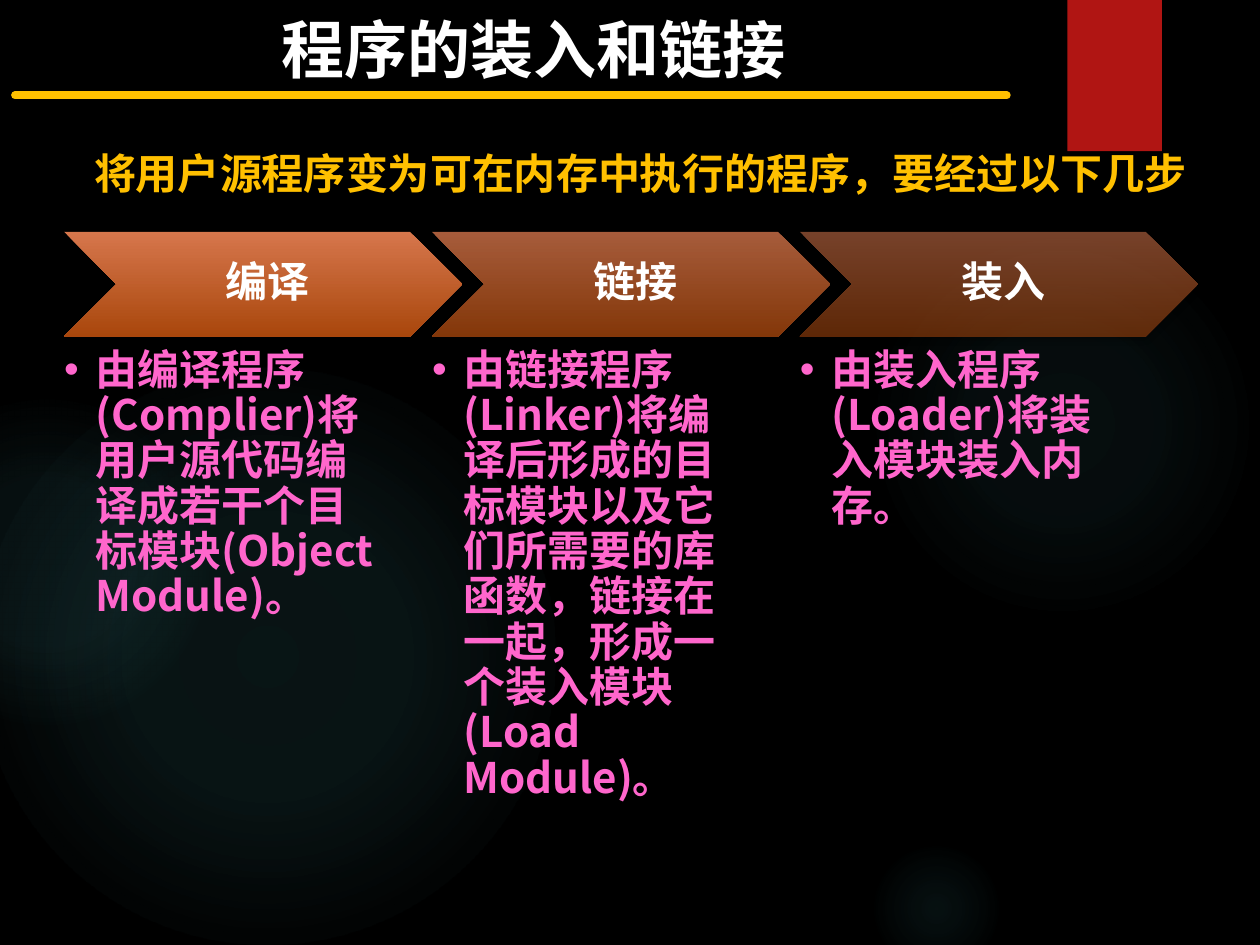
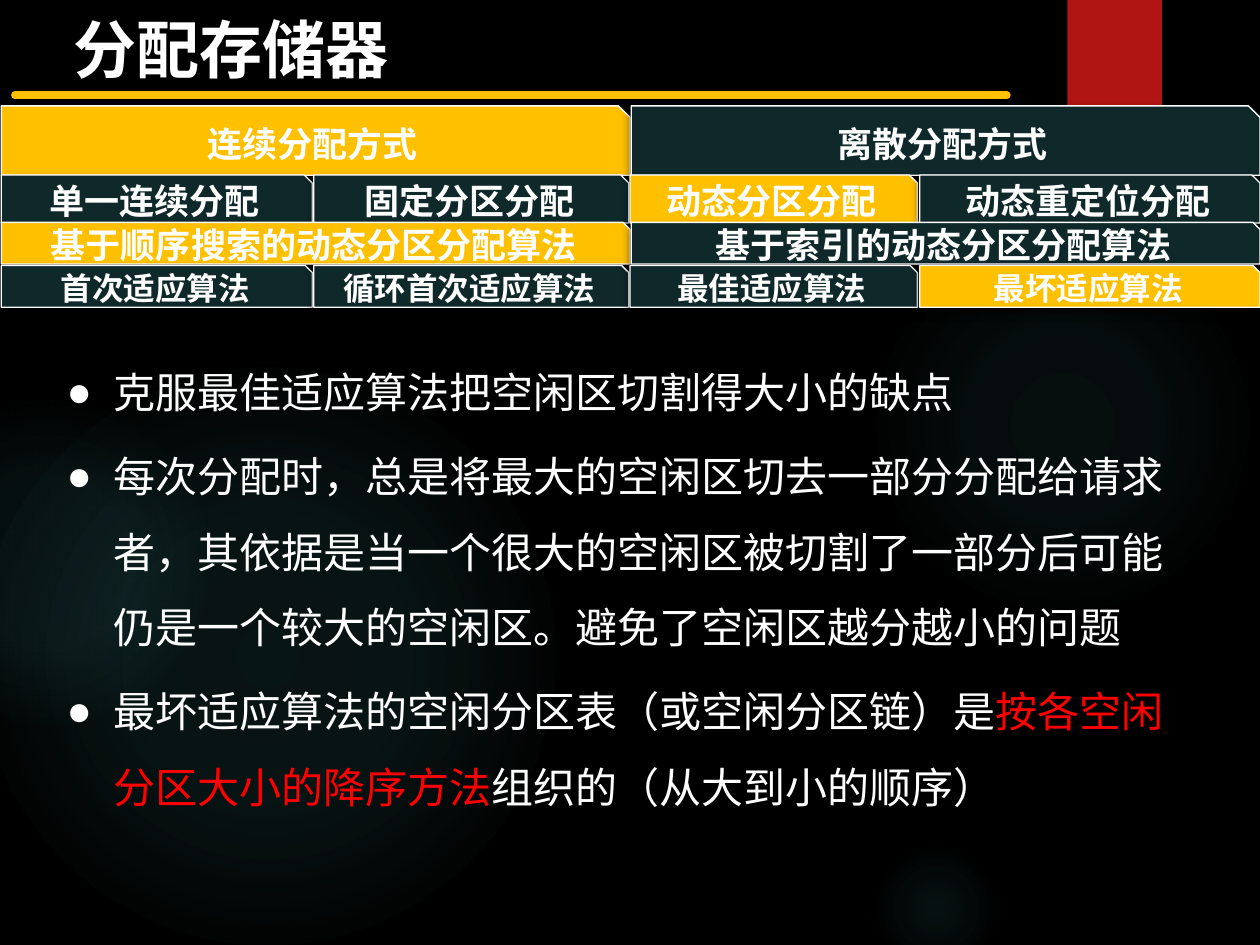
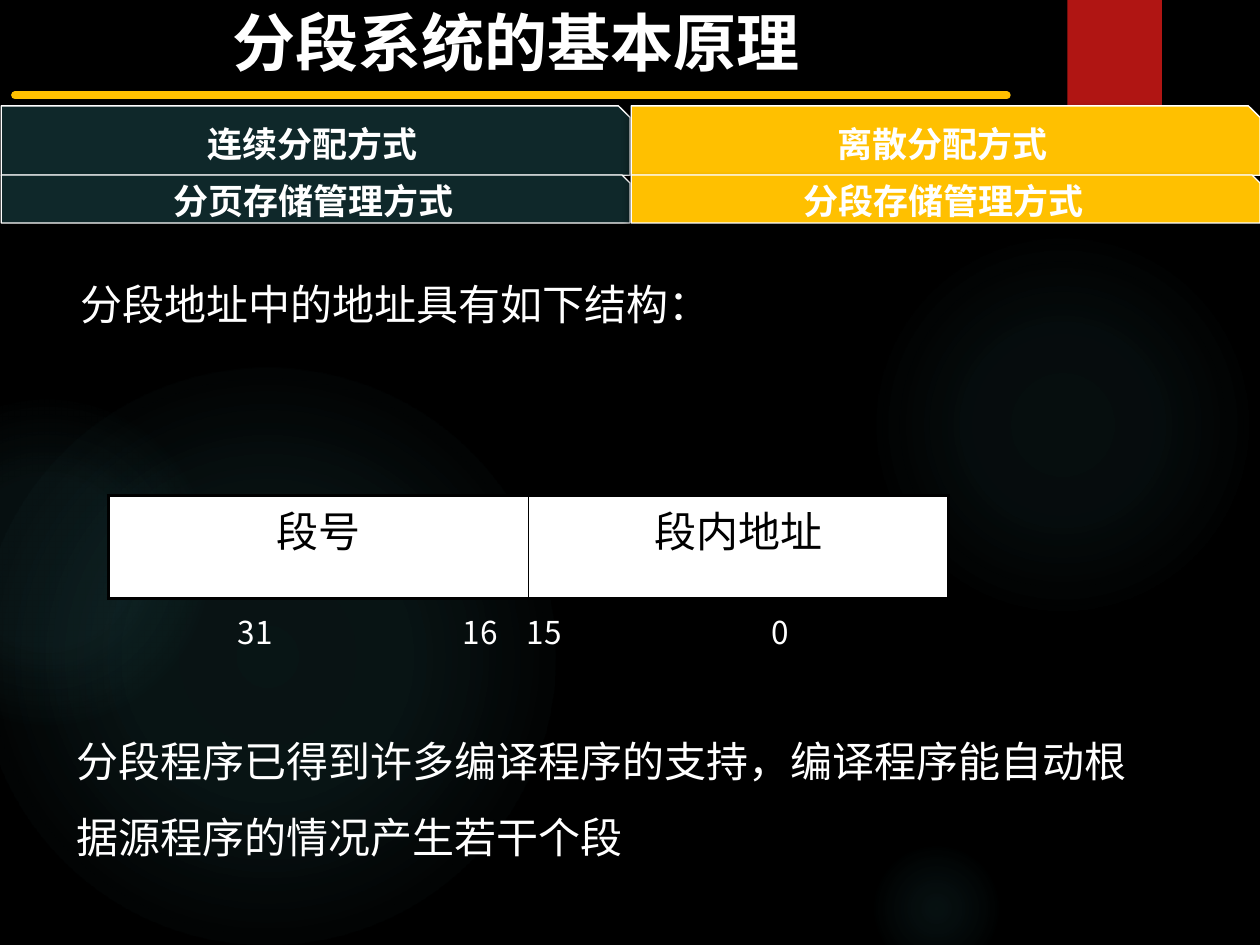
from dataclasses import dataclass

from lxml import etree
from pptx import Presentation
from pptx.dml.color import RGBColor
from pptx.enum.shapes import MSO_CONNECTOR, MSO_SHAPE
from pptx.enum.text import MSO_ANCHOR, PP_ALIGN
from pptx.oxml.ns import qn
from pptx.util import Pt

ELLIPSE, RECTANGLE = MSO_SHAPE.OVAL, MSO_SHAPE.RECTANGLE
CHEVRON, SNIPPED = MSO_SHAPE.CHEVRON, MSO_SHAPE.SNIP_1_RECTANGLE
STRAIGHT = MSO_CONNECTOR.STRAIGHT
TOP, MIDDLE = MSO_ANCHOR.TOP, MSO_ANCHOR.MIDDLE
LEFT, CENTER = PP_ALIGN.LEFT, PP_ALIGN.CENTER

FONT, TABLE_FONT, BULLET_FONT = "Noto Sans CJK SC", "Arial", "Arial"
BLACK, WHITE, GOLD, DARK = "000000", "FFFFFF", "FFC000", "0F282A"
RED, BAND_RED, PINK, GLOW = "FF0000", "B01513", "FF66CC", "50B9C1"
CHEVRON_LIGHT, CHEVRON_DEEP = "EE8455", "BC4F0E"


@dataclass(frozen=True)
class Area:
    left: float
    top: float
    width: float
    height: float

    def lengths(self) -> tuple[Pt, Pt, Pt, Pt]:
        return Pt(self.left), Pt(self.top), Pt(self.width), Pt(self.height)


@dataclass(frozen=True)
class Style:
    size: float
    color: str = WHITE
    bold: bool = False
    align: PP_ALIGN = LEFT
    spacing: float = 1.0
    before: float = 0
    bullet: str = ""
    indent: float = 0
    font: str = FONT
    tabs: tuple[float, ...] = ()


@dataclass(frozen=True)
class Span:
    text: str
    color: str = ""


@dataclass(frozen=True)
class Stop:
    place: int
    color: str
    opacity: int


@dataclass(frozen=True)
class Shadow:
    opacity: int
    blur: float
    distance: float


@dataclass(frozen=True)
class Glow:
    left: float
    top: float
    size: float
    stops: tuple[tuple[int, int], ...]


@dataclass(frozen=True)
class ChipRow:
    top: float
    height: float
    size: float
    columns: tuple[tuple[float, float], ...]


@dataclass(frozen=True)
class Step:
    name: str
    detail: str
    opacity: int


GLOWS = (
    Glow(496, 131.8, 221.8, ((0, 7), (36, 6), (69, 0))),
    Glow(496, 480.2, 77.8, ((0, 9), (36, 5), (66, 0))),
    Glow(-12.2, 210.2, 329.8, ((0, 11), (36, 10), (75, 0))),
    Glow(-66.2, 228.2, 185.8, ((0, 8), (36, 8), (72, 0))),
)
BAND_SHADOW, CHIP_SHADOW = Shadow(45, 3, 2), Shadow(60, 5, 3)
TITLE = Style(36, bold=True, align=CENTER)

HALVES = ((0.7, 359.3), (360.7, 359.3))
QUARTERS = ((0.7, 177.8), (179.3, 180), (360, 164.2), (525.6, 194.4))
MODE_ROW = ChipRow(60.5, 39.6, 20, HALVES)
PARTITION_ROW = ChipRow(100, 27.4, 20, QUARTERS)
PAGING_ROW = ChipRow(100, 27.4, 20, HALVES)
SEARCH_ROW = ChipRow(127.1, 23.8, 20, HALVES)
ALGORITHM_ROW = ChipRow(151.8, 23.8, 18, QUARTERS)
MODES = ("连续分配方式", "离散分配方式")

STEPS = (
    Step("编译", "由编译程序(Complier)将用户源代码编译成若干个目标模块(Object Module)。", 90),
    Step("链接", "由链接程序(Linker)将编译后形成的目标模块以及它们所需要的库函数，"
         "链接在一起，形成一个装入模块(Load Module)。", 70),
    Step("装入", "由装入程序(Loader)将装入模块装入内存。", 50),
)
STEP_LEFT, STEP_PITCH, STEP_TOP = 36.7, 210.2, 132.5


def rgb(color: str) -> RGBColor:
    return RGBColor.from_string(color)


def add_element(parent, tag: str, **attributes):
    return etree.SubElement(parent, qn(tag), {key: str(value) for key, value in attributes.items()})


def add_color(parent, color: str, opacity: int = 100) -> None:
    element = add_element(parent, "a:srgbClr", val=color)
    if opacity < 100:
        add_element(element, "a:alpha", val=opacity * 1000)


def add_shadow(shape, shadow: Shadow) -> None:
    """Cast a black shadow straight down."""
    effects = shape._element.spPr.find(qn("a:effectLst"))
    outer = add_element(effects, "a:outerShdw", blurRad=Pt(shadow.blur), dist=Pt(shadow.distance),
                        dir=5400000, algn="ctr", rotWithShape=0)
    add_color(outer, BLACK, shadow.opacity)


def fill_gradient(shape, stops: list[Stop], radial: bool) -> None:
    """Fill from the centre outwards, or else from top to bottom."""
    shape.fill.background()
    properties = shape._element.spPr
    empty_fill = properties.find(qn("a:noFill"))
    gradient = etree.Element(qn("a:gradFill"), rotWithShape="1")
    stop_list = add_element(gradient, "a:gsLst")
    for stop in stops:
        add_color(add_element(stop_list, "a:gs", pos=stop.place * 1000), stop.color, stop.opacity)
    if radial:
        circle = add_element(gradient, "a:path", path="circle")
        add_element(circle, "a:fillToRect", l=50000, t=50000, r=50000, b=50000)
    else:
        add_element(gradient, "a:lin", ang=5400000, scaled=0)
    properties.replace(empty_fill, gradient)


def add_figure(page, kind: MSO_SHAPE, area: Area, fill: str = "", shadow: Shadow | None = None):
    figure = page.shapes.add_shape(kind, *area.lengths())
    figure.shadow.inherit = False
    figure.line.fill.background()
    if fill:
        figure.fill.solid()
        figure.fill.fore_color.rgb = rgb(fill)
    if shadow:
        add_shadow(figure, shadow)
    return figure


def set_font(para, style: Style) -> None:
    font = para.font
    font.name, font.size, font.bold = style.font, Pt(style.size), style.bold
    font.color.rgb = rgb(style.color)
    add_element(font._element, "a:ea", typeface=style.font)


def write_paragraph(para, spans: list[Span], style: Style, first: bool) -> None:
    para.alignment = style.align
    para.line_spacing = style.spacing
    if not first:
        para.space_before = Pt(style.before)
    properties = para._p.get_or_add_pPr()
    if style.bullet:
        properties.set("marL", str(Pt(style.indent)))
        properties.set("indent", str(-Pt(style.indent)))
        add_element(properties, "a:buFont", typeface=BULLET_FONT)
        add_element(properties, "a:buChar", char=style.bullet)
    if style.tabs:
        tab_list = add_element(properties, "a:tabLst")
        for position in style.tabs:
            add_element(tab_list, "a:tab", pos=Pt(position), algn="l")
    set_font(para, style)
    for span in spans:
        run = para.add_run()
        run.text = span.text
        if span.color:
            run.font.color.rgb = rgb(span.color)


def write_text(frame, paragraphs: list[list[Span]], style: Style) -> None:
    frame.word_wrap = True
    for index, spans in enumerate(paragraphs):
        para = frame.add_paragraph() if index else frame.paragraphs[0]
        write_paragraph(para, spans, style, first=index == 0)


def add_text(page, area: Area, paragraphs: list[list[Span]], style: Style,
             anchor: MSO_ANCHOR = TOP,
             insets: tuple[float, float, float, float] = (7.2, 3.6, 7.2, 3.6)) -> None:
    """Insets run left, top, right, bottom."""
    box = page.shapes.add_textbox(*area.lengths())
    frame = box.text_frame
    frame.vertical_anchor = anchor
    (frame.margin_left, frame.margin_top,
     frame.margin_right, frame.margin_bottom) = map(Pt, insets)
    write_text(frame, paragraphs, style)


def add_page(deck, title: str, title_area: Area):
    """Add a slide with the glows, the red band, the gold rule and a title."""
    page = deck.slides.add_slide(deck.slide_layouts[6])
    page.background.fill.solid()
    page.background.fill.fore_color.rgb = rgb(BLACK)
    for glow in GLOWS:
        circle = add_figure(page, ELLIPSE, Area(glow.left, glow.top, glow.size, glow.size))
        stops = [Stop(place, GLOW, opacity) for place, opacity in glow.stops]
        fill_gradient(circle, stops, radial=True)
    add_figure(page, RECTANGLE, Area(610, 0, 54, 86.4), BAND_RED, BAND_SHADOW)
    rule = page.shapes.add_connector(STRAIGHT, Pt(8.6), Pt(54.5), Pt(575.3), Pt(54.5))
    rule.line.color.rgb = rgb(GOLD)
    rule.line.width = Pt(4.5)
    rule.line._get_or_add_ln().set("cap", "rnd")
    add_element(rule._element.spPr, "a:effectLst")
    add_text(page, title_area, [[Span(title)]], TITLE)
    return page


def add_chips(page, row: ChipRow, labels: tuple[str, ...], chosen: str) -> None:
    """Draw one row of tabs, with the chosen one in gold."""
    style = Style(row.size, bold=True, align=CENTER)
    for label, (left, width) in zip(labels, row.columns):
        fill = GOLD if label == chosen else DARK
        chip = add_figure(page, SNIPPED, Area(left, row.top, width, row.height), fill, CHIP_SHADOW)
        chip.line.color.rgb = rgb(WHITE)
        chip.line.width = Pt(0.75)
        chip.text_frame.vertical_anchor = MIDDLE
        write_text(chip.text_frame, [[Span(label)]], style)


def add_step(page, step: Step, left: float) -> None:
    chevron = add_figure(page, CHEVRON, Area(left, STEP_TOP, 227.5, 59.8), shadow=BAND_SHADOW)
    fill_gradient(chevron, [Stop(0, CHEVRON_LIGHT, step.opacity),
                            Stop(100, CHEVRON_DEEP, step.opacity)], radial=False)
    add_text(page, Area(left + 30.2, STEP_TOP, 167.8, 59.8), [[Span(step.name)]],
             Style(24, bold=True, align=CENTER, spacing=0.9), MIDDLE, (7.2, 2.9, 2.9, 2.9))
    add_text(page, Area(left, 199.4, 181.4, 284.4), [[Span(step.detail)]],
             Style(24, PINK, bold=True, spacing=0.9, bullet="•", indent=18), insets=(0, 0, 0, 0))


def set_borders(cell, left: float, right: float) -> None:
    properties = cell._tc.get_or_add_tcPr()
    for tag, width in (("a:lnL", left), ("a:lnR", right), ("a:lnT", 2.25), ("a:lnB", 2.25)):
        border = add_element(properties, tag, w=Pt(width))
        add_color(add_element(border, "a:solidFill"), BLACK)


def add_address_table(page, labels: tuple[str, str]) -> None:
    area = Area(62, 283, 480, 59)
    table = page.shapes.add_table(1, len(labels), *area.lengths()).table
    table.first_row = table.horz_banding = False
    style = Style(24, BLACK, align=CENTER, font=TABLE_FONT)
    for cell, label, (left, right) in zip(table.iter_cells(), labels, ((2.25, 1), (1, 2.25))):
        set_borders(cell, left, right)
        cell.fill.solid()
        cell.fill.fore_color.rgb = rgb(WHITE)
        cell.margin_top = Pt(8.4)
        write_text(cell.text_frame, [[Span(label)]], style)


def build_loading_page(deck) -> None:
    page = add_page(deck, "程序的装入和链接", Area(0.7, 2.2, 608.4, 51))
    for index, step in enumerate(STEPS):
        add_step(page, step, STEP_LEFT + index * STEP_PITCH)
    add_text(page, Area(36.7, 66.2, 658, 51),
             [[Span("将用户源程序变为可在内存中执行的程序，要经过以下几步")]],
             Style(24, GOLD, bold=True, align=CENTER, spacing=1.5))


def build_worst_fit_page(deck) -> None:
    page = add_page(deck, "分配存储器", Area(0.7, 2.2, 262.8, 51))
    add_chips(page, MODE_ROW, MODES, "连续分配方式")
    add_chips(page, PARTITION_ROW,
              ("单一连续分配", "固定分区分配", "动态分区分配", "动态重定位分配"), "动态分区分配")
    add_chips(page, SEARCH_ROW,
              ("基于顺序搜索的动态分区分配算法", "基于索引的动态分区分配算法"),
              "基于顺序搜索的动态分区分配算法")
    add_chips(page, ALGORITHM_ROW,
              ("首次适应算法", "循环首次适应算法", "最佳适应算法", "最坏适应算法"), "最坏适应算法")
    points = [
        [Span("克服最佳适应算法把空闲区切割得大小的缺点")],
        [Span("每次分配时，总是将最大的空闲区切去一部分分配给请求者，其依据是当一个很大的"
              "空闲区被切割了一部分后可能仍是一个较大的空闲区。避免了空闲区越分越小的问题")],
        [Span("最坏适应算法的空闲分区表（或空闲分区链）是"),
         Span("按各空闲分区大小的降序方法", RED),
         Span("组织的（从大到小的顺序）")],
    ]
    add_text(page, Area(31, 191.5, 641.5, 274.3), points,
             Style(24, spacing=1.5, before=4.8, bullet="●", indent=27))


def build_segment_page(deck) -> None:
    page = add_page(deck, "分段系统的基本原理", Area(48.2, -1.4, 493.2, 41))
    add_chips(page, MODE_ROW, MODES, "离散分配方式")
    add_chips(page, PAGING_ROW, ("分页存储管理方式", "分段存储管理方式"), "分段存储管理方式")
    add_text(page, Area(38.9, 155.5, 390.2, 36.7),
             [[Span("分段地址中的地址具有如下结构：")]], Style(24))
    add_address_table(page, ("段号", "段内地址"))
    add_text(page, Area(128.9, 347, 480, 28.8), [[Span("31\t16\t15\t0")]],
             Style(18, tabs=(128.5, 165, 305)))
    add_text(page, Area(36.7, 402.5, 614.9, 94.3),
             [[Span("分段程序已得到许多编译程序的支持，编译程序能自动根据源程序的情况产生若干个段")]],
             Style(24, spacing=1.5))


def main() -> None:
    deck = Presentation()
    deck.slide_width, deck.slide_height = Pt(720), Pt(540)
    build_loading_page(deck)
    build_worst_fit_page(deck)
    build_segment_page(deck)
    deck.save("out.pptx")


if __name__ == "__main__":
    main()
